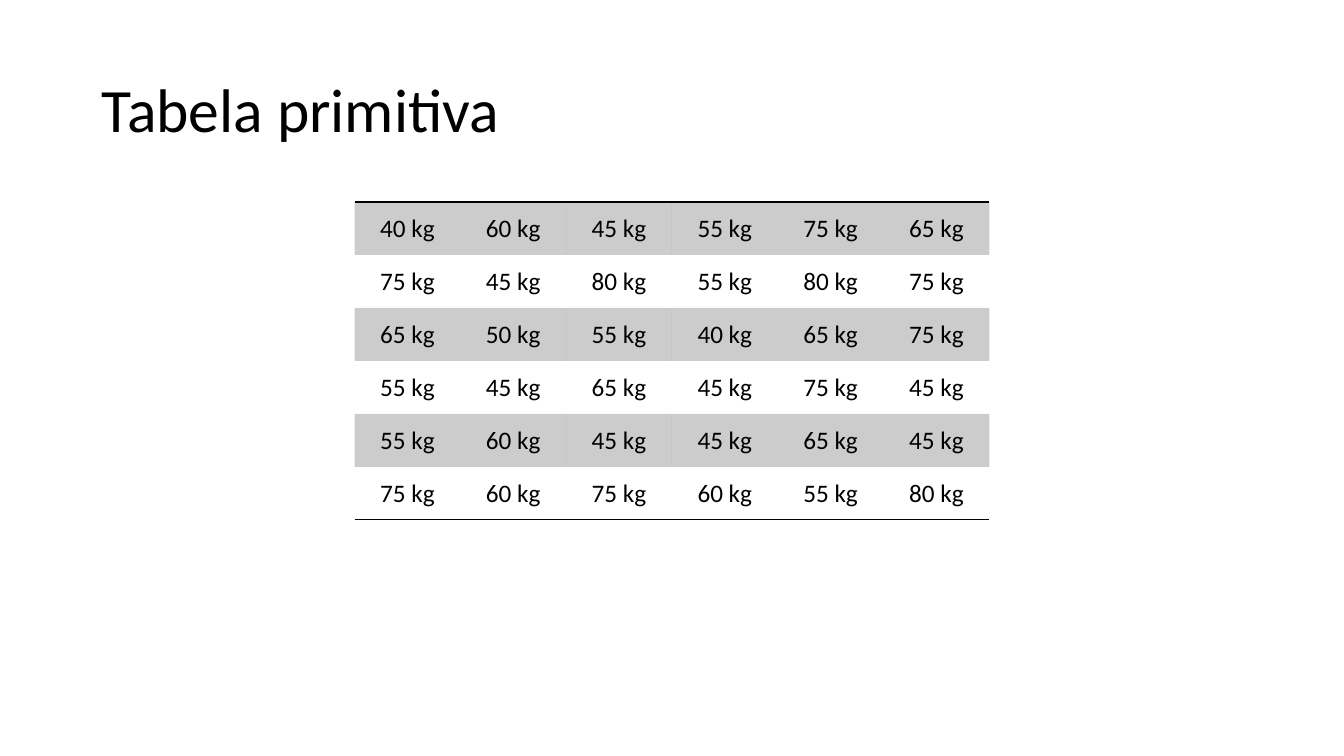
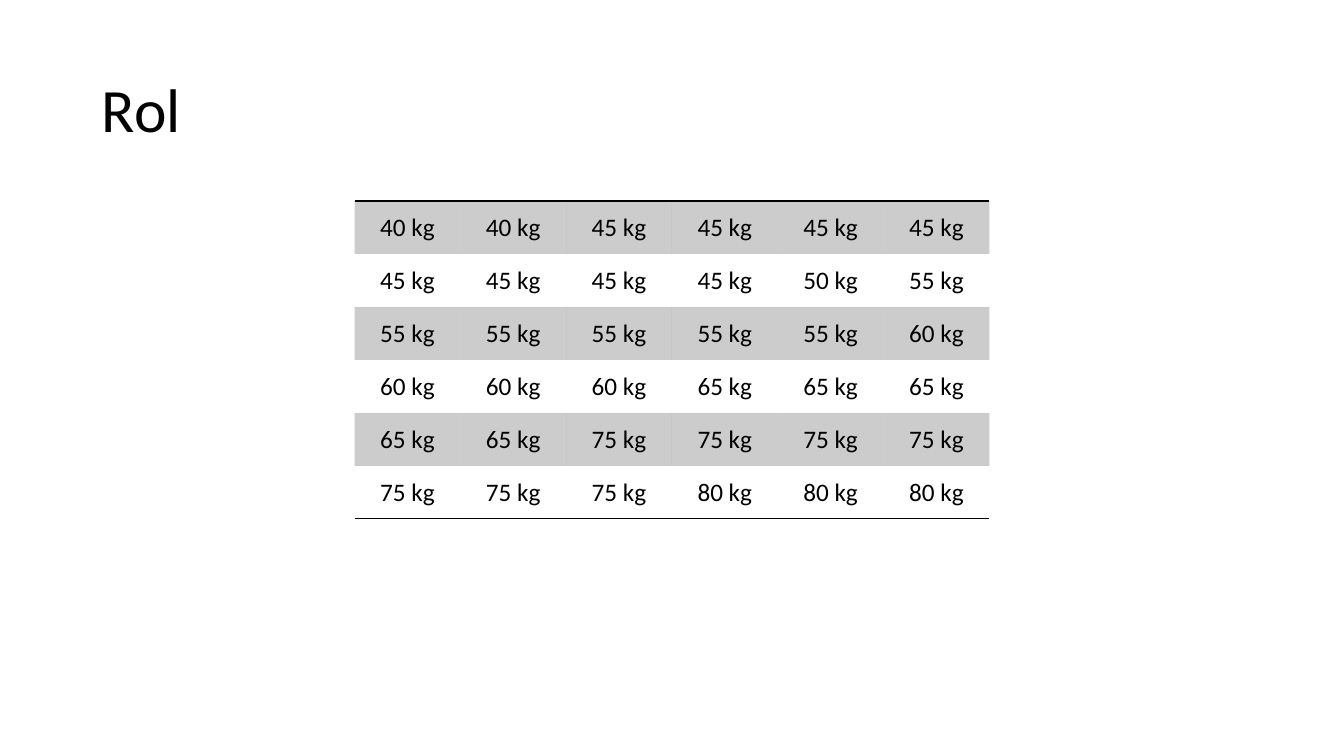
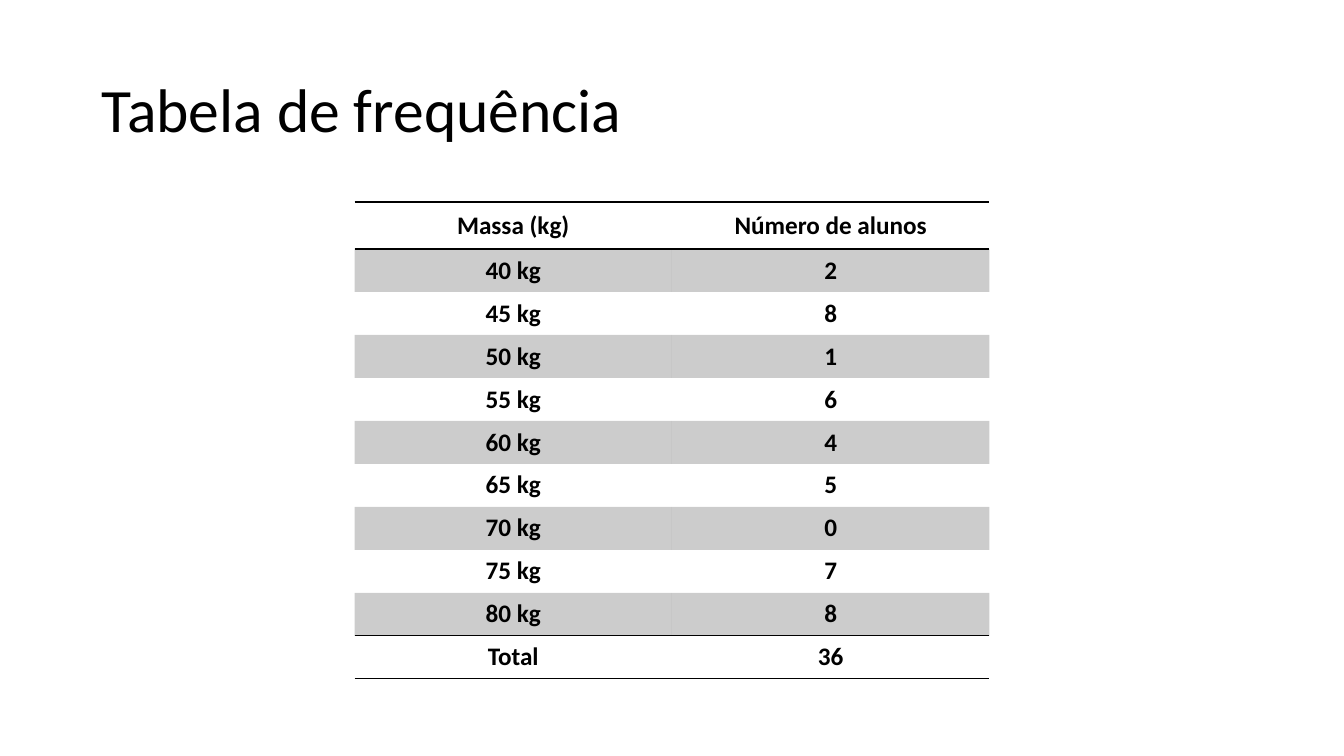
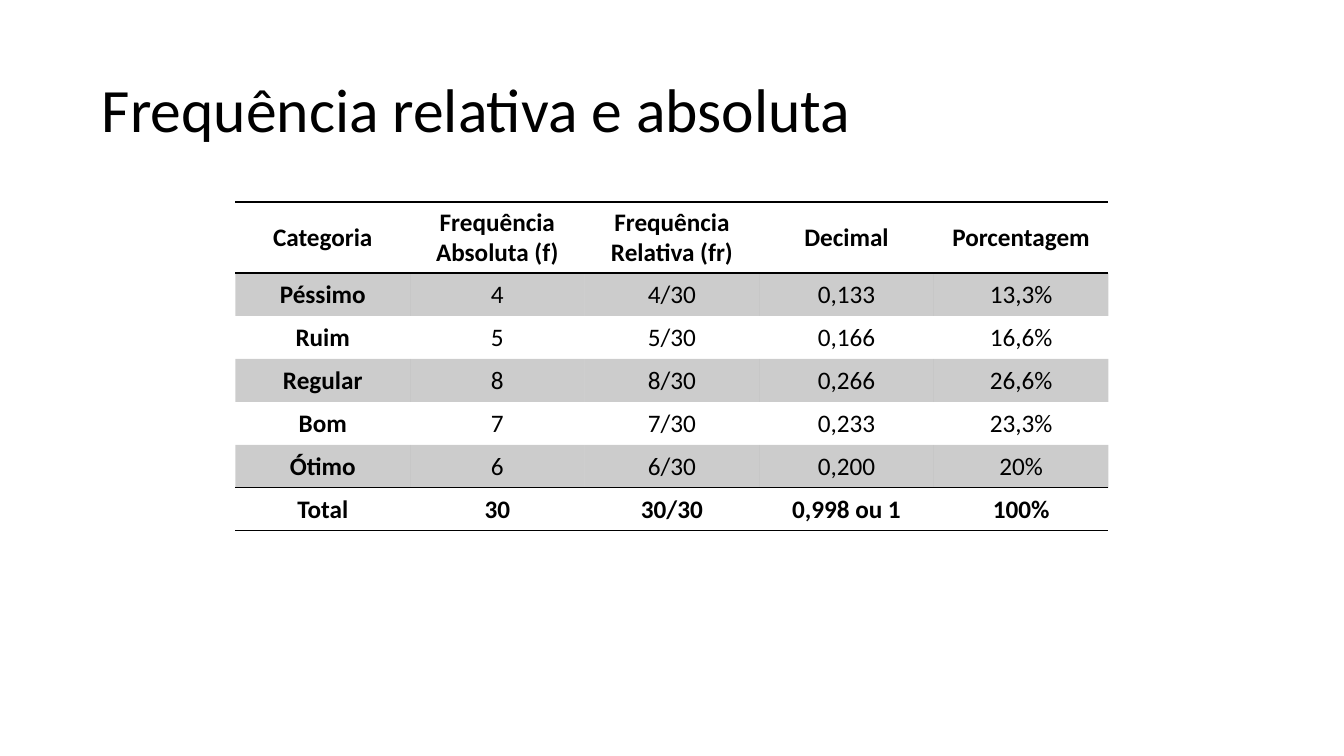
"""Builds four slides of statistics tables: raw data, ordered data and frequencies."""
from lxml import etree
from pptx import Presentation
from pptx.dml.color import RGBColor
from pptx.enum.text import MSO_ANCHOR, PP_ALIGN
from pptx.oxml.ns import qn
from pptx.util import Emu, Pt

MIDDLE = MSO_ANCHOR.MIDDLE
CENTER = PP_ALIGN.CENTER
BLACK = RGBColor(0, 0, 0)
FONT = "Calibri"
TITLE_SIZE = 44
CELL_SIZE = 18
BAND_ALPHA = "20000"
RULE_WIDTH = Pt(1)
NO_STYLE_NO_GRID = "{2D5ABB26-0587-4C30-8999-92F81FD0307C}"

SLIDE_WIDTH, SLIDE_HEIGHT = 1344, 756
TITLE_BOX = (92, 40, 1159, 146)

MASSES = [
    [40, 60, 45, 55, 75, 65],
    [75, 45, 80, 55, 80, 75],
    [65, 50, 55, 40, 65, 75],
    [55, 45, 65, 45, 75, 45],
    [55, 60, 45, 45, 65, 45],
    [75, 60, 75, 60, 55, 80],
]
ORDERED = sorted(mass for row in MASSES for mass in row)
ROLL = [ORDERED[start:start + 6] for start in range(0, len(ORDERED), 6)]

STUDENTS = [
    ("Massa (kg)", "Número de alunos"),
    ("40 kg", "2"),
    ("45 kg", "8"),
    ("50 kg", "1"),
    ("55 kg", "6"),
    ("60 kg", "4"),
    ("65 kg", "5"),
    ("70 kg", "0"),
    ("75 kg", "7"),
    ("80 kg", "8"),
    ("Total", "36"),
]
RATINGS = [
    ("Categoria", "Frequência Absoluta (f)", "Frequência Relativa (fr)", "Decimal", "Porcentagem"),
    ("Péssimo", "4", "4/30", "0,133", "13,3%"),
    ("Ruim", "5", "5/30", "0,166", "16,6%"),
    ("Regular", "8", "8/30", "0,266", "26,6%"),
    ("Bom", "7", "7/30", "0,233", "23,3%"),
    ("Ótimo", "6", "6/30", "0,200", "20%"),
    ("Total", "30", "30/30", "0,998 ou 1", "100%"),
]


def in_kg(masses):
    return [[f"{mass} kg" for mass in row] for row in masses]


SLIDES = [
    dict(title="Tabela primitiva", rows=in_kg(MASSES), top=202, width=635, row_height=53),
    dict(title="Rol", rows=in_kg(ROLL), top=201, width=635, row_height=53),
    dict(title="Tabela de frequência", rows=STUDENTS, top=202, width=635, row_height=43,
         header_height=47, bold_columns=2),
    dict(title="Frequência relativa e absoluta", rows=RATINGS, top=202, width=873, row_height=43,
         header_height=71, bold_columns=1),
]


def px(length):
    return Emu(round(length * 914400 / 100.8))


def style_text(paragraph, size, bold=False):
    for run in paragraph.runs:
        run.font.name = FONT
        run.font.size = Pt(size)
        run.font.bold = bold
        run.font.color.rgb = BLACK


def add_title(slide, title):
    frame = slide.shapes.add_textbox(*map(px, TITLE_BOX)).text_frame
    frame.word_wrap = True
    frame.vertical_anchor = MIDDLE
    frame.text = title
    frame.paragraphs[0].line_spacing = 0.9
    style_text(frame.paragraphs[0], TITLE_SIZE)


def add_rule(cell, side):
    line = etree.SubElement(cell._tc.get_or_add_tcPr(), qn(f"a:{side}"), w=str(RULE_WIDTH))
    fill = etree.SubElement(line, qn("a:solidFill"))
    etree.SubElement(fill, qn("a:srgbClr"), val=str(BLACK))


def fill_cell(cell, banded):
    if not banded:
        cell.fill.background()
        return
    cell.fill.solid()
    cell.fill.fore_color.rgb = BLACK
    color = cell._tc.tcPr.find(".//" + qn("a:solidFill") + "/" + qn("a:srgbClr") + "[last()]")
    for color in cell._tc.tcPr.findall(qn("a:solidFill") + "/" + qn("a:srgbClr")):
        etree.SubElement(color, qn("a:alpha"), val=BAND_ALPHA)


def add_data_table(slide, rows, top, width, row_height, header_height=0, bold_columns=0):
    has_header = header_height > 0
    last = len(rows) - 1
    heights = [row_height] * len(rows)
    if has_header:
        heights[0] = header_height
    ruled_above = {0, last} if has_header else {0}
    ruled_below = {0, last} if has_header else {last}
    column_count = len(rows[0])

    left = (SLIDE_WIDTH - width) / 2
    table = slide.shapes.add_table(
        len(rows), column_count, px(left), px(top), px(width), px(sum(heights))).table
    table._tbl.tblPr.find(qn("a:tableStyleId")).text = NO_STYLE_NO_GRID
    table.first_row = has_header
    for column in table.columns:
        column.width = px(width / column_count)

    for i, values in enumerate(rows):
        table.rows[i].height = px(heights[i])
        emphasized = has_header and i in (0, last)
        banded = not emphasized and i % 2 == int(has_header)
        for j, value in enumerate(values):
            cell = table.cell(i, j)
            cell.text = value
            cell.vertical_anchor = MIDDLE
            paragraph = cell.text_frame.paragraphs[0]
            paragraph.alignment = CENTER
            style_text(paragraph, CELL_SIZE, emphasized or j < bold_columns)
            if i in ruled_above:
                add_rule(cell, "lnT")
            if i in ruled_below:
                add_rule(cell, "lnB")
            fill_cell(cell, banded)


deck = Presentation()
deck.slide_width, deck.slide_height = px(SLIDE_WIDTH), px(SLIDE_HEIGHT)
blank = deck.slide_layouts[6]
for content in SLIDES:
    slide = deck.slides.add_slide(blank)
    add_title(slide, content["title"])
    add_data_table(slide, **{key: value for key, value in content.items() if key != "title"})
deck.save("out.pptx")
